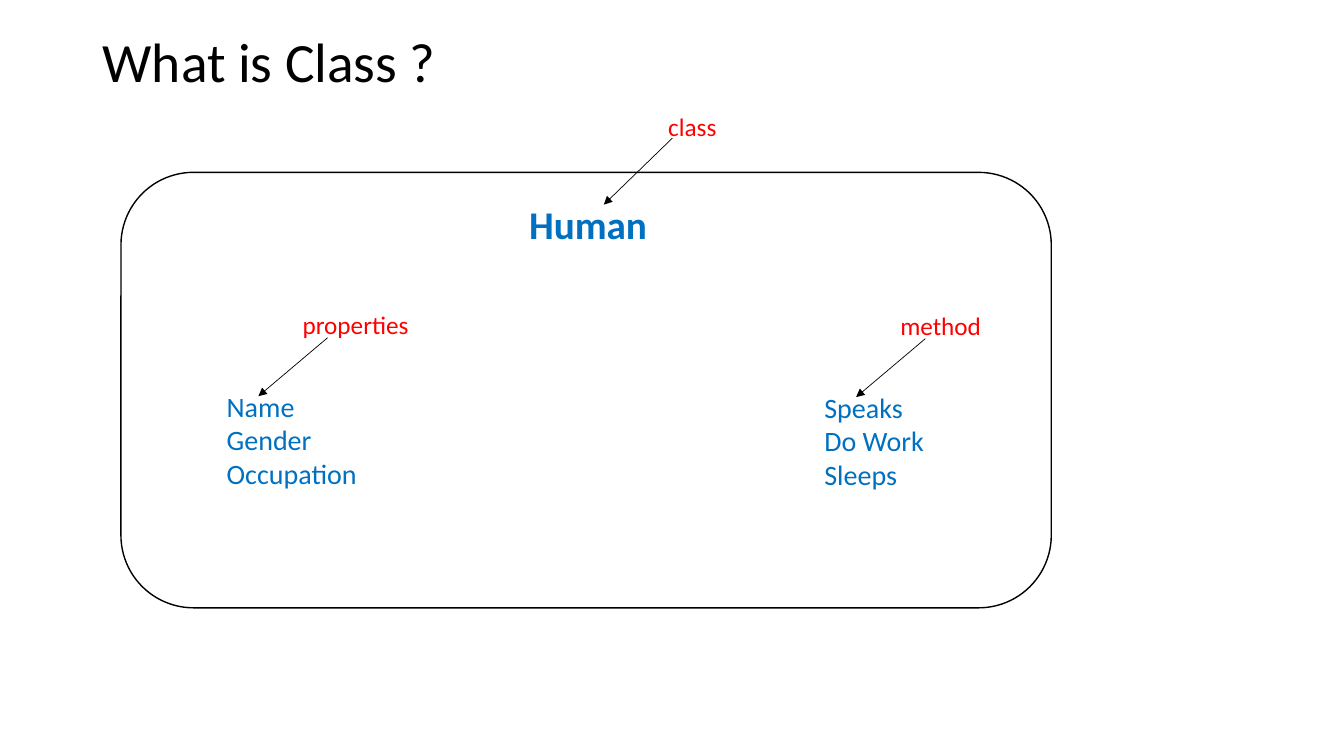
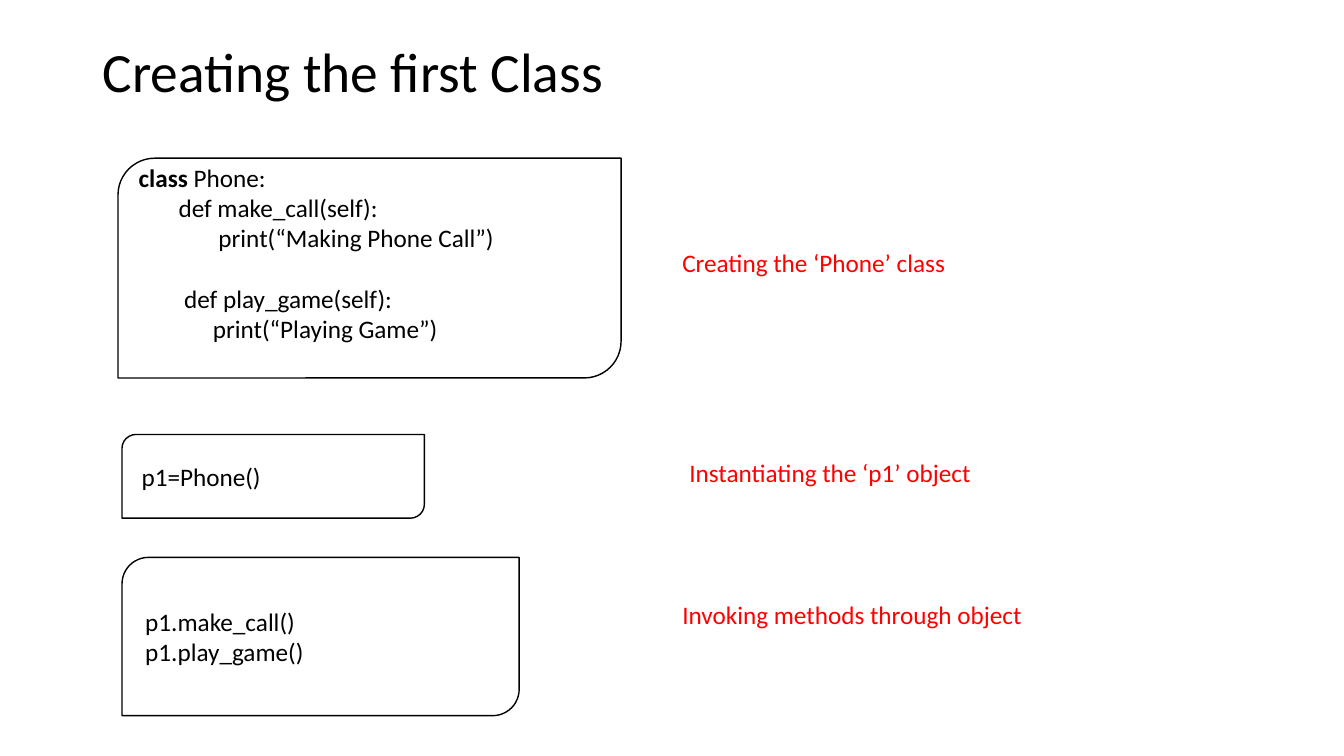
from lxml import etree
from pptx import Presentation
from pptx.dml.color import RGBColor
from pptx.enum.shapes import MSO_CONNECTOR, MSO_SHAPE
from pptx.enum.text import MSO_ANCHOR, MSO_AUTO_SIZE, PP_ALIGN
from pptx.oxml.ns import qn
from pptx.util import Inches, Pt

ROUNDED = MSO_SHAPE.ROUNDED_RECTANGLE
DIAGONAL = MSO_SHAPE.ROUND_2_DIAG_RECTANGLE
STRAIGHT = MSO_CONNECTOR.STRAIGHT
MIDDLE, TOP = MSO_ANCHOR.MIDDLE, MSO_ANCHOR.TOP
LEFT = PP_ALIGN.LEFT
FIT_TEXT = MSO_AUTO_SIZE.SHAPE_TO_FIT_TEXT

FONT = "Calibri"
BLACK, WHITE, RED, BLUE = "000000", "FFFFFF", "FF0000", "0070C0"
TITLE_SIZE, HEAD_SIZE, LIST_SIZE, BODY_SIZE = 39.6, 28, 20, 18
CODE_LINE = 22        # height of one code line, points
LABEL_ROWS = 5.33

# The slide is a grid of 100 columns by 100 rows
WIDTH, HEIGHT = Inches(13.33), Inches(7.5)


def col(columns):
    return round(WIDTH * columns / 100)


def row(rows):
    return round(HEIGHT * rows / 100)


def place(left, top, width, height):
    return col(left), row(top), col(width), row(height)


def color(hex_string):
    return RGBColor.from_string(hex_string)


# Text
def add_run(paragraph, text, size, hex_string, bold=False):
    run = paragraph.add_run()
    run.text = text
    run.font.name = FONT
    run.font.size = Pt(size)
    run.font.bold = bold
    run.font.color.rgb = color(hex_string)


def next_paragraph(frame, index):
    paragraph = frame.add_paragraph() if index else frame.paragraphs[0]
    paragraph.alignment = LEFT
    return paragraph


def add_text(slide, area, lines, size, hex_string, bold=False):
    frame = slide.shapes.add_textbox(*place(*area)).text_frame
    frame.word_wrap = False
    frame.auto_size = FIT_TEXT
    frame.vertical_anchor = TOP
    for index, line in enumerate(lines):
        add_run(next_paragraph(frame, index), line, size, hex_string, bold)


def add_label(slide, left, top, width, text):
    add_text(slide, (left, top, width, LABEL_ROWS), [text], BODY_SIZE, RED)


def add_title(slide, text, height):
    frame = slide.shapes.add_textbox(*place(6.9, 5.33, 86.25, height)).text_frame
    frame.word_wrap = True
    frame.vertical_anchor = MIDDLE
    paragraph = next_paragraph(frame, 0)
    paragraph.line_spacing = 0.9
    add_run(paragraph, text, TITLE_SIZE, BLACK)


# Outlined boxes and arrows
def add_box(slide, kind, area):
    box = slide.shapes.add_shape(kind, *place(*area))
    box.shadow.inherit = False
    box.fill.solid()
    box.fill.fore_color.rgb = color(WHITE)
    box.line.color.rgb = color(BLACK)
    box.line.width = Pt(1)
    return box


def add_code(slide, area, lines, bottom_inset=0.05):
    """Each line is (indent in points, space before in points, runs)."""
    frame = add_box(slide, DIAGONAL, area).text_frame
    frame.word_wrap = True
    frame.vertical_anchor = MIDDLE
    frame.margin_bottom = Inches(bottom_inset)
    for index, (indent, space, runs) in enumerate(lines):
        paragraph = next_paragraph(frame, index)
        paragraph.space_before = Pt(space)
        properties = paragraph._p.get_or_add_pPr()
        properties.set("marL", str(Pt(indent)))
        properties.set("indent", "0")
        for text, bold in runs:
            add_run(paragraph, text, BODY_SIZE, BLACK, bold)


def add_arrow(slide, start, end):
    arrow = slide.shapes.add_connector(
        STRAIGHT, col(start[0]), row(start[1]), col(end[0]), row(end[1]))
    arrow.line.color.rgb = color(BLACK)
    arrow.line.width = Pt(0.5)
    line = arrow.line._get_or_add_ln()
    etree.SubElement(line, qn("a:tailEnd")).set("type", "triangle")
    etree.SubElement(arrow._element.spPr, qn("a:effectLst"))


def add_members(slide, left, top, width, names, label, label_width):
    """A list of class members with a red label pointing at it."""
    add_text(slide, (left, top, width, 14.8), names, LIST_SIZE, BLUE)
    add_arrow(slide, (left + 8.25, top - 6.13), (left + 3.1, top + 1.6))
    add_label(slide, left + 5.65, top - 10.53, label_width, label)


# Slides
def build_class_slide(slide):
    add_title(slide, "What is Class ?", 6.53)
    add_box(slide, ROUNDED, (9, 22.8, 69.22, 57.6))
    add_text(slide, (38.63, 25.87, 10.35, 7.6), ["Human"], HEAD_SIZE, BLUE, True)
    add_arrow(slide, (50.03, 18.27), (44.93, 27.07))
    add_label(slide, 48.98, 14.13, 5.1, "class")
    add_members(slide, 16.13, 50.8, 11.33,
                ["Name", "Gender", "Occupation"], "properties", 9.53)
    add_members(slide, 60.6, 50.93, 8.93,
                ["Speaks", "Do Work", "Sleeps"], "method", 7.58)


def build_code_slide(slide):
    add_title(slide, "Creating the first Class", 8.93)
    # Definition, with room for one empty line below
    add_code(slide, (8.78, 20.93, 37.43, 29.07), [
        (0, 0, [("class", True), (" Phone:", False)]),
        (28.5, 0, [("def make_call(self):", False)]),
        (57, 0, [("print(“Making Phone Call”)", False)]),
        (32.5, CODE_LINE, [("def play_game(self):", False)]),
        (53, 0, [("print(“Playing Game”)", False)]),
    ], bottom_inset=0.35)
    add_label(slide, 50.03, 32, 21.3, "Creating the ‘Phone’ class")
    # Object
    add_code(slide, (9.08, 57.47, 22.5, 11.07),
             [(4, 0, [("p1=Phone()", False)])])
    add_label(slide, 50.55, 59.87, 22.73, "Instantiating the ‘p1’ object")
    # Calls
    add_code(slide, (9.08, 73.73, 29.55, 20.93),
             [(4, 0, [(call, False)])
              for call in ("p1.make_call()", "p1.play_game()")])
    add_label(slide, 50.03, 78.67, 27.08, "Invoking methods through object")


def main():
    presentation = Presentation()
    presentation.slide_width, presentation.slide_height = WIDTH, HEIGHT
    blank = presentation.slide_layouts[6]
    for build in (build_class_slide, build_code_slide):
        build(presentation.slides.add_slide(blank))
    presentation.save("out.pptx")


if __name__ == "__main__":
    main()
